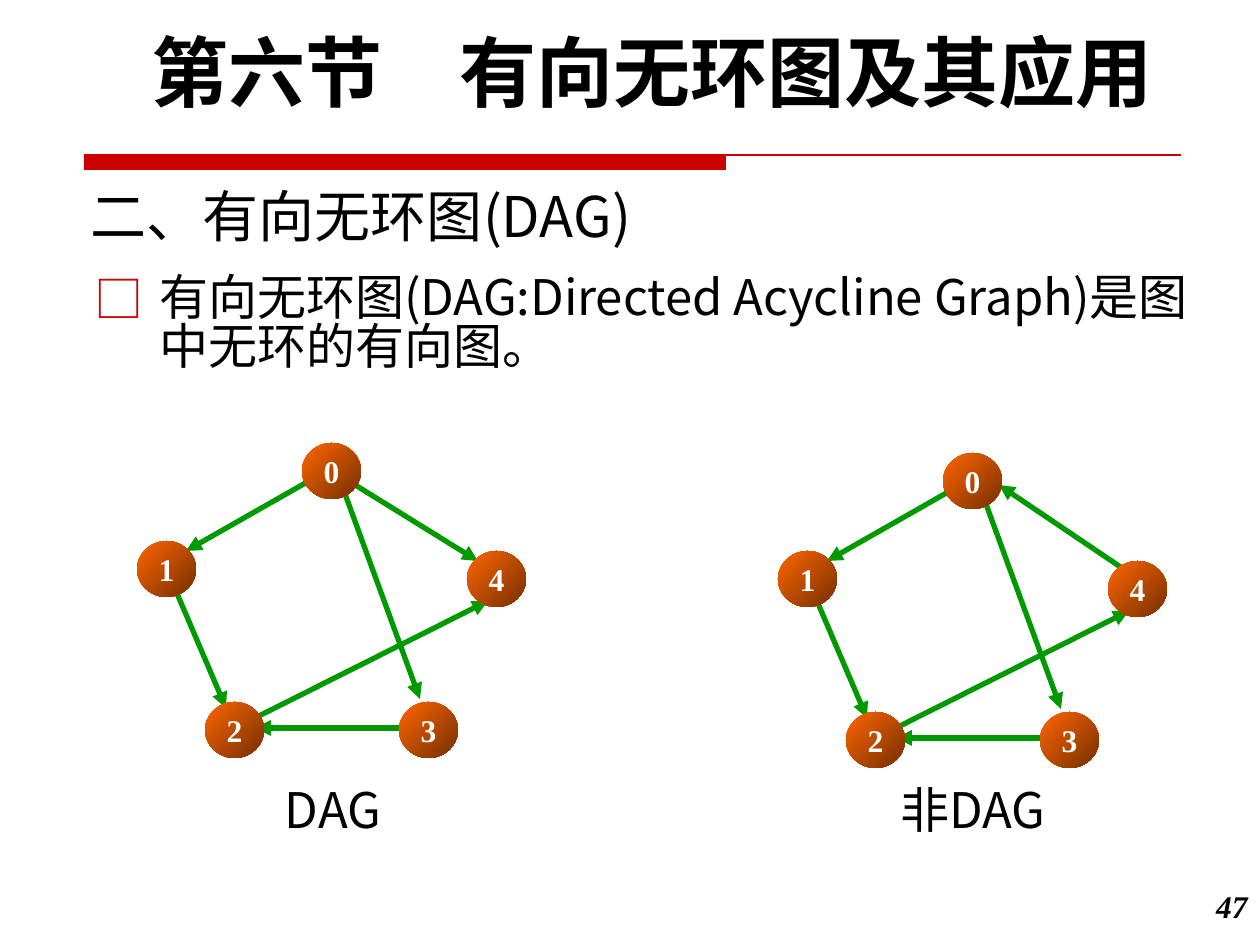
from dataclasses import dataclass
from lxml.etree import SubElement
from pptx import Presentation
from pptx.dml.color import RGBColor
from pptx.enum.shapes import MSO_CONNECTOR, MSO_SHAPE
from pptx.enum.text import MSO_ANCHOR, MSO_AUTO_SIZE, PP_ALIGN
from pptx.oxml.ns import qn
from pptx.util import Pt

SCALE = 914400 / 126
RED = RGBColor(0xCC, 0x00, 0x00)
GREEN = RGBColor(0x00, 0x99, 0x00)
ORANGE = RGBColor(0xFF, 0x66, 0x00)
BROWN = RGBColor(0x76, 0x2F, 0x00)
BLACK = RGBColor(0, 0, 0)
WHITE = RGBColor(255, 255, 255)
NOTO = "Noto Sans CJK SC"
TIMES = "Times New Roman"


@dataclass
class Node:
    label: str
    left: int
    top: int


@dataclass
class Edge:
    start: tuple
    end: tuple


@dataclass
class Graph:
    dx: int
    dy: int
    edges: list


@dataclass
class Label:
    text: str
    box: tuple
    size: int
    font: str
    align: PP_ALIGN
    bold: bool = False
    slant: bool = False
    gap: float = 1.0
    hang: int = 0


def emu(*sizes: int) -> list:
    return [round(size * SCALE) for size in sizes]


def write(shape, text: str, size: int, font: str, color: RGBColor, align: PP_ALIGN,
          bold: bool = False, slant: bool = False, gap: float = 1.0, hang: int = 0):
    shape.text_frame.text = text
    para = shape.text_frame.paragraphs[0]
    para.alignment = align
    para.line_spacing = gap
    para.space_before = Pt(0)
    props = para._p.get_or_add_pPr()
    props.set("marL", str(emu(hang)[0]))
    props.set("indent", str(-emu(hang)[0]))
    style = para.runs[0].font
    style.name, style.size = font, Pt(size)
    style.bold, style.italic = bold, slant
    style.color.rgb = color
    SubElement(style._element, qn("a:ea")).set("typeface", font)
    return props


def place(shape, box: tuple) -> None:
    shape.left, shape.top, shape.width, shape.height = emu(*box)
    shape.text_frame.word_wrap = True
    shape.text_frame.auto_size = MSO_AUTO_SIZE.NONE


def draw_label(shapes, label: Label) -> None:
    box = shapes.add_textbox(*emu(*label.box))
    box.text_frame.word_wrap = True
    write(box, label.text, label.size, label.font, BLACK, label.align,
          label.bold, label.slant, label.gap, label.hang)


def draw_line(shapes, start: tuple, end: tuple, color: RGBColor, width: float):
    line = shapes.add_connector(MSO_CONNECTOR.STRAIGHT, *emu(*start, *end))
    line.line.color.rgb = color
    line.line.width = Pt(width)
    SubElement(line._element.spPr, qn("a:effectLst"))
    return line


def draw_node(shapes, node: Node, dx: int, dy: int) -> None:
    ball = shapes.add_shape(MSO_SHAPE.OVAL, *emu(node.left + dx, node.top + dy, 59, 56))
    ball.shadow.inherit = False
    ball.line.fill.background()
    ball.fill.gradient()
    ball.fill.gradient_angle = 315
    for stop, color, spot in zip(ball.fill.gradient_stops, (ORANGE, BROWN), (0, 1)):
        stop.color.rgb = color
        stop.position = spot
    frame = ball.text_frame
    frame.margin_left = frame.margin_right = 0
    frame.word_wrap = False
    frame.vertical_anchor = MSO_ANCHOR.MIDDLE
    write(ball, node.label, 18, TIMES, WHITE, PP_ALIGN.CENTER, bold=True)


def draw_graph(shapes, graph: Graph) -> None:
    group = shapes.add_group_shape().shapes
    for edge in graph.edges:
        start, end = [(x + graph.dx, y + graph.dy) for x, y in (edge.start, edge.end)]
        line = draw_line(group, start, end, GREEN, 3)
        SubElement(line.line._get_or_add_ln(), qn("a:tailEnd")).set("type", "triangle")
    for node in NODES:
        draw_node(group, node, graph.dx, graph.dy)


NODES = [
    Node("1", 137, 541),
    Node("3", 399, 702),
    Node("2", 205, 702),
    Node("4", 467, 551),
    Node("0", 302, 443),
]
SHARED = [
    Edge((176, 591), (226, 708)),
    Edge((323, 473), (186, 551)),
    Edge((341, 483), (420, 699)),
    Edge((399, 728), (255, 728)),
    Edge((255, 718), (488, 601)),
]
GRAPHS = [
    Graph(641, 10, [Edge((484, 560), (358, 475))] + SHARED),
    Graph(0, 0, [Edge((352, 483), (478, 561))] + SHARED),
]
LABELS = [
    Label("DAG", (212, 784, 242, 72), 28, NOTO, PP_ALIGN.CENTER, gap=0.82),
    Label("非DAG", (842, 784, 262, 72), 28, NOTO, PP_ALIGN.CENTER, gap=0.82),
    Label("47", (1176, 881, 84, 63), 18, TIMES, PP_ALIGN.RIGHT, bold=True, slant=True),
    Label("第六节\u3000有向无环图及其应用", (69, 29, 1166, 97), 44, "Lato",
          PP_ALIGN.CENTER, bold=True, gap=0.9, hang=48),
]

deck = Presentation()
deck.slide_width, deck.slide_height = emu(1260, 945)
slide = deck.slides.add_slide(deck.slide_layouts[1])
shapes = slide.shapes

bar = shapes.add_shape(MSO_SHAPE.RECTANGLE, *emu(84, 155, 642, 15))
bar.shadow.inherit = False
bar.fill.solid()
bar.fill.fore_color.rgb = RED
bar.line.fill.background()
draw_line(shapes, (84, 155), (1181, 155), RED, 0.75)

title = shapes.title
place(title, (78, 160, 1197 - 78, 95))
title.text_frame.vertical_anchor = MSO_ANCHOR.BOTTOM
write(title, "二、有向无环图(DAG)", 32, NOTO, BLACK, PP_ALIGN.LEFT)

body = slide.placeholders[1]
place(body, (82, 271, 1135, 137))
props = write(body, "有向无环图(DAG:Directed Acycline Graph)是图中无环的有向图。",
              28, NOTO, BLACK, PP_ALIGN.LEFT, gap=0.82, hang=65)
tint = SubElement(props, qn("a:buClr"))
SubElement(tint, qn("a:srgbClr")).set("val", str(RED))
SubElement(props, qn("a:buFont")).set("typeface", NOTO)
SubElement(props, qn("a:buChar")).set("char", "□")

for graph in GRAPHS:
    draw_graph(shapes, graph)
for label in LABELS:
    draw_label(shapes, label)

deck.save("out.pptx")
